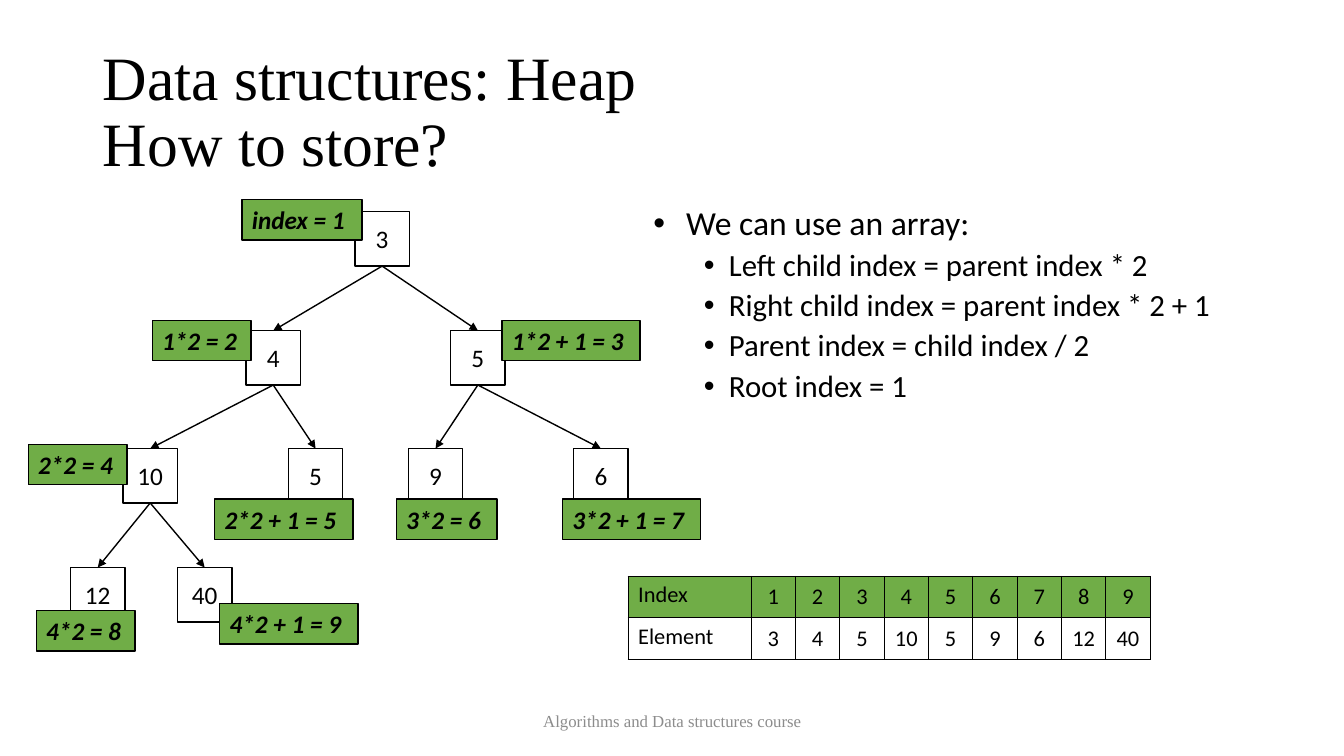
from lxml import etree
from pptx import Presentation
from pptx.dml.color import RGBColor
from pptx.enum.shapes import MSO_CONNECTOR, MSO_SHAPE
from pptx.enum.text import MSO_ANCHOR, MSO_AUTO_SIZE, PP_ALIGN
from pptx.oxml.ns import qn
from pptx.util import Pt

PX = 9144  # one hundredth of an inch
BLACK = RGBColor(0x00, 0x00, 0x00)
WHITE = RGBColor(0xFF, 0xFF, 0xFF)
GREEN = RGBColor(0x70, 0xAD, 0x47)
GRAY = RGBColor(0x8C, 0x8C, 0x8C)
LEFT, CENTER = PP_ALIGN.LEFT, PP_ALIGN.CENTER
TOP, MIDDLE = MSO_ANCHOR.TOP, MSO_ANCHOR.MIDDLE
FIXED, GROW = MSO_AUTO_SIZE.NONE, MSO_AUTO_SIZE.SHAPE_TO_FIT_TEXT
RECT, STRAIGHT = MSO_SHAPE.RECTANGLE, MSO_CONNECTOR.STRAIGHT

SERIF = {"name": "Times New Roman"}
SANS = {"name": "Calibri"}
SIDE = 54
TAG_H = 40

# Heap order: the children of node i are 2i and 2i + 1.
HEAP = [3, 4, 5, 10, 5, 9, 6, 12, 40]
NODES = [(352, 210), (244, 328), (447, 328), (122, 445), (286, 445),
         (405, 445), (569, 445), (70, 563), (176, 563)]
TAGS = [(240, 198, 119), (151, 318, 98), (498, 318, 137), (28, 441, 98),
        (213, 495, 137), (393, 495, 100), (558, 495, 137), (36, 606, 98),
        (218, 599, 137)]
RULES = ["Left child index = parent index * 2",
         "Right child index = parent index * 2 + 1",
         "Parent index = child index / 2",
         "Root index = 1"]


def scale(*sizes):
    return [size * PX for size in sizes]


def assign(item, values):
    for name, value in values.items():
        setattr(item, name, value)


def write(para, text, size, face, color=BLACK, **style):
    para.text = text
    for run in para.runs:
        assign(run.font, {"size": Pt(size), **face, **style})
        run.font.color.rgb = color


def place(shape, *box):
    assign(shape, dict(zip(("left", "top", "width", "height"), scale(*box))))


def paint(shape, color):
    shape.fill.solid()
    shape.fill.fore_color.rgb = color
    shape.line.color.rgb = BLACK
    shape.line.width = Pt(1)


def add_title(slide):
    title = slide.shapes.title
    place(title, 92, 40, 1150, 145)
    frame = title.text_frame
    assign(frame, {"vertical_anchor": MIDDLE, "auto_size": FIXED})
    para = frame.paragraphs[0]
    assign(para, {"alignment": LEFT, "line_spacing": 0.9})
    write(para, "Data structures: Heap\nHow to store?", 44, SERIF)


def add_point(para, text, level, size, left, gap):
    write(para, text, size, SANS)
    assign(para, {"level": level, "line_spacing": 0.9,
                  "space_before": Pt(gap), "alignment": LEFT})
    props = para._p.get_or_add_pPr()
    props.set("marL", str(left * PX))
    props.set("indent", str(-25 * PX))
    etree.SubElement(props, qn("a:buFont"), typeface="Arial")
    etree.SubElement(props, qn("a:buChar"), char="•")


def add_list(slide):
    body = slide.placeholders[1]
    place(body, 638, 200, 625, 476)
    frame = body.text_frame
    frame.auto_size = FIXED
    add_point(frame.paragraphs[0], " We can use an array:", 0, 24, 25, 10)
    for rule in RULES:
        add_point(frame.add_paragraph(), rule, 1, 22, 75, 5)


def add_footer(slide):
    box = slide.shapes.add_textbox(*scale(442, 695, 450, 40))
    frame = box.text_frame
    assign(frame, {"word_wrap": True, "vertical_anchor": MIDDLE})
    para = frame.paragraphs[0]
    para.alignment = CENTER
    write(para, "Algorithms and Data structures course", 12, SERIF, GRAY)


def add_node(slide, value, spot):
    node = slide.shapes.add_shape(RECT, *scale(*spot, SIDE, SIDE))
    node.shadow.inherit = False
    paint(node, WHITE)
    frame = node.text_frame
    frame.vertical_anchor = MIDDLE
    para = frame.paragraphs[0]
    para.alignment = CENTER
    write(para, str(value), 18, SANS)
    return node


def add_edge(slide, parent, child):
    edge = slide.shapes.add_connector(STRAIGHT, 0, 0, 0, 0)
    edge.begin_connect(parent, 2)
    edge.end_connect(child, 0)
    edge.line.color.rgb = BLACK
    edge.line.width = Pt(1)
    etree.SubElement(edge.line._get_or_add_ln(), qn("a:tailEnd"),
                     type="triangle")
    etree.SubElement(edge._element.spPr, qn("a:effectLst"))


def tag_text(index):
    if index == 1:
        return "index = 1"
    return f"{index // 2}*2{' + 1' if index % 2 else ''} = {index}"


def add_tag(slide, index, left, top, width):
    tag = slide.shapes.add_textbox(*scale(left, top, width, TAG_H))
    paint(tag, GREEN)
    frame = tag.text_frame
    assign(frame, {"word_wrap": False, "auto_size": GROW})
    write(frame.paragraphs[0], tag_text(index), 18, SANS,
          bold=True, italic=True)


def add_tree(slide):
    nodes = [add_node(slide, *pair) for pair in zip(HEAP, NODES)]
    for index in range(2, len(nodes) + 1):
        add_edge(slide, nodes[index // 2 - 1], nodes[index - 1])
    for index, spot in enumerate(TAGS, 1):
        add_tag(slide, index, *spot)


def add_border(cell):
    """Draw all four sides; the lines must precede the cell's fill."""
    props = cell._tc.get_or_add_tcPr()
    for place_no, side in enumerate(("lnL", "lnR", "lnT", "lnB")):
        line = etree.Element(qn(f"a:{side}"), w=str(Pt(1)))
        fill = etree.SubElement(line, qn("a:solidFill"))
        etree.SubElement(fill, qn("a:srgbClr"), val=str(BLACK))
        props.insert(place_no, line)


def add_array(slide):
    rows = [["Index", *range(1, len(HEAP) + 1)], ["Element", *HEAP]]
    table = slide.shapes.add_table(2, len(rows[0]),
                                   *scale(623, 572, 518, 82)).table
    assign(table, {"first_row": False, "horz_banding": False})
    for col, column in enumerate(table.columns):
        column.width = (44 if col else 122) * PX
    for row, (values, color) in enumerate(zip(rows, (GREEN, WHITE))):
        for col, value in enumerate(values):
            cell = table.cell(row, col)
            cell.fill.solid()
            cell.fill.fore_color.rgb = color
            cell.vertical_anchor = MIDDLE if col else TOP
            para = cell.text_frame.paragraphs[0]
            para.alignment = CENTER if col else LEFT
            write(para, str(value), 16, SANS)
            add_border(cell)


def main():
    deck = Presentation()
    assign(deck, dict(zip(("slide_width", "slide_height"), scale(1333, 750))))
    slide = deck.slides.add_slide(deck.slide_layouts[1])
    add_title(slide)
    add_footer(slide)
    add_list(slide)
    add_array(slide)
    add_tree(slide)
    deck.save("out.pptx")


if __name__ == "__main__":
    main()
